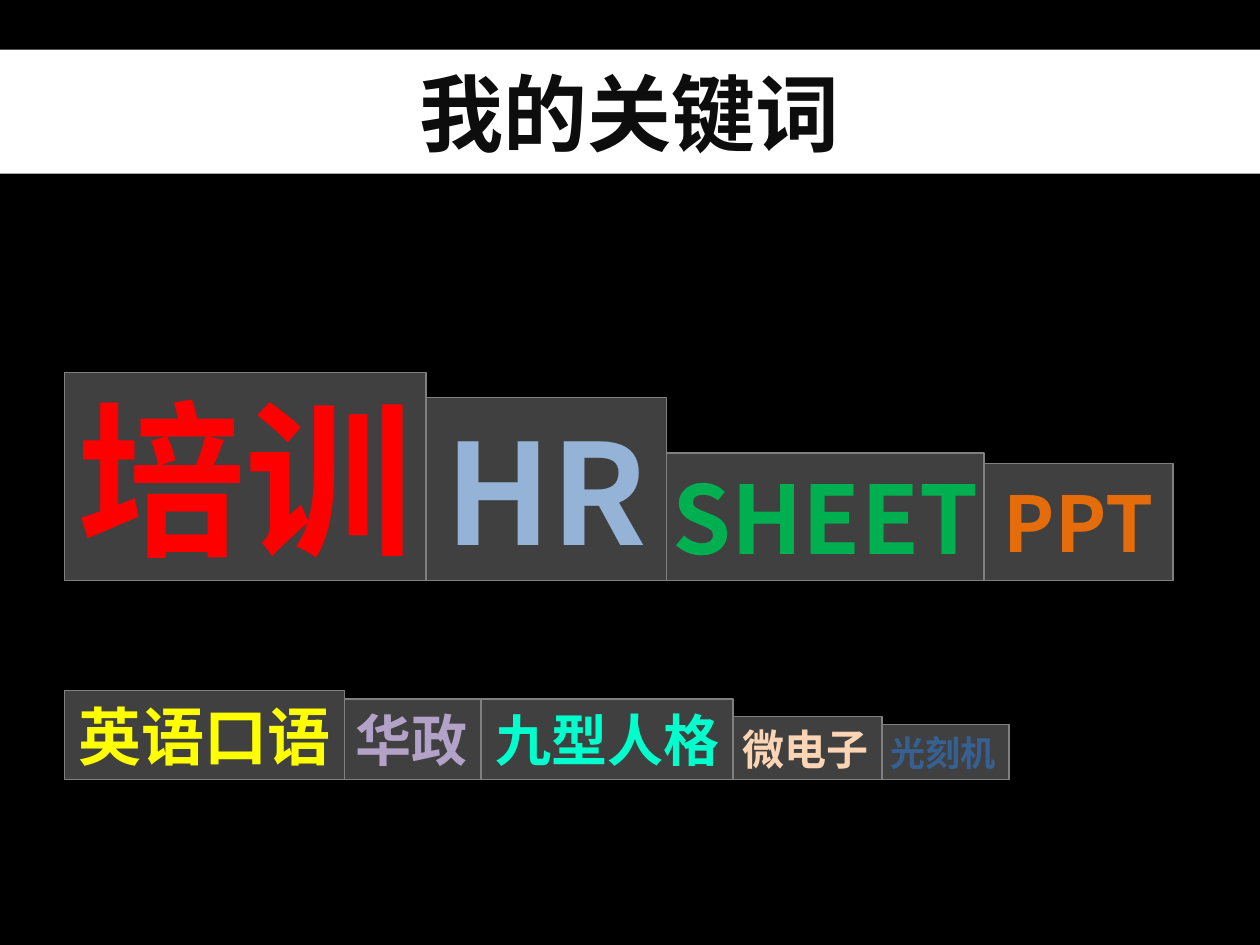
"""Build the keyword slide: a title band above two rows of word tiles."""
from dataclasses import dataclass

from lxml.etree import SubElement
from pptx import Presentation
from pptx.dml.color import RGBColor
from pptx.enum.shapes import MSO_SHAPE
from pptx.enum.text import MSO_ANCHOR, MSO_AUTO_SIZE, PP_ALIGN
from pptx.oxml.ns import qn
from pptx.shapes.autoshape import Shape
from pptx.slide import Slide
from pptx.util import Cm, Pt

FONT = "Noto Sans CJK SC"
COLORS = {
    "background": "000000",
    "band": "FFFFFF",
    "title": "0D0D0D",
    "tile": "404040",
    "border": "808080",
    "red": "FF0000",
    "light blue": "95B3D7",
    "green": "00B050",
    "orange": "E46C0A",
    "yellow": "FFFF00",
    "purple": "B3A2C7",
    "aqua": "00FFCC",
    "peach": "FCD5B5",
    "blue": "376092",
}
FRAME_FORMAT = {
    "auto_size": MSO_AUTO_SIZE.NONE,
    "vertical_anchor": MSO_ANCHOR.MIDDLE,
    "margin_left": Cm(0.25),
    "margin_right": Cm(0.25),
    "margin_top": Cm(0.13),
    "margin_bottom": Cm(0.13),
}


@dataclass(frozen=True)
class Keyword:
    text: str
    left: float
    width: float
    height: float
    size: int
    color: str


@dataclass(frozen=True)
class KeywordRow:
    bottom: float
    keywords: tuple[Keyword, ...]


ROWS = (
    KeywordRow(11.7, (
        Keyword("培训", 1.3, 7.29, 4.19, 96, "red"),
        Keyword("HR", 8.59, 4.85, 3.68, 80, "light blue"),
        Keyword("SHEET", 13.44, 6.4, 2.57, 54, "green"),
        Keyword("PPT", 19.84, 3.81, 2.36, 44, "orange"),
    )),
    KeywordRow(15.72, (
        Keyword("英语口语", 1.3, 5.64, 1.8, 36, "yellow"),
        Keyword("华政", 6.91, 2.79, 1.63, 32, "purple"),
        Keyword("九型人格", 9.7, 5.08, 1.63, 32, "aqua"),
        Keyword("微电子", 14.71, 3.07, 1.27, 24, "peach"),
        Keyword("光刻机", 17.7, 2.64, 1.12, 20, "blue"),
    )),
)


def color_of(name: str) -> RGBColor:
    return RGBColor.from_string(COLORS[name])


def fill_shape(shape: Shape, color: str) -> None:
    shape.fill.solid()
    shape.fill.fore_color.rgb = color_of(color)


def write_text(shape: Shape, text: str, size: int, color: str, wrap: bool) -> None:
    frame = shape.text_frame
    for attribute, value in FRAME_FORMAT.items():
        setattr(frame, attribute, value)
    frame.word_wrap = wrap
    paragraph = frame.paragraphs[0]
    paragraph.alignment = PP_ALIGN.CENTER
    run = paragraph.add_run()
    run.text = text
    for attribute, value in {"name": FONT, "size": Pt(size), "bold": True}.items():
        setattr(run.font, attribute, value)
    run.font.color.rgb = color_of(color)
    SubElement(run._r.get_or_add_rPr(), qn("a:ea"), typeface=FONT)


def draw_title(slide: Slide, text: str) -> None:
    title = slide.shapes.title
    position = {"left": Cm(0), "top": Cm(1), "width": Cm(25.4), "height": Cm(2.5)}
    for attribute, value in position.items():
        setattr(title, attribute, value)
    fill_shape(title, "band")
    write_text(title, text, 48, "title", True)


def draw_keyword(slide: Slide, keyword: Keyword, bottom: float) -> None:
    tile = slide.shapes.add_shape(
        MSO_SHAPE.RECTANGLE, Cm(keyword.left), Cm(bottom - keyword.height),
        Cm(keyword.width), Cm(keyword.height),
    )
    tile.shadow.inherit = False
    fill_shape(tile, "tile")
    tile.line.color.rgb = color_of("border")
    tile.line.width = Pt(0.75)
    write_text(tile, keyword.text, keyword.size, keyword.color, False)


def main() -> None:
    presentation = Presentation()
    presentation.slide_width, presentation.slide_height = Cm(25.4), Cm(19.05)
    slide = presentation.slides.add_slide(presentation.slide_layouts[5])
    slide.background.fill.solid()
    slide.background.fill.fore_color.rgb = color_of("background")
    draw_title(slide, "我的关键词")
    for row in ROWS:
        for keyword in reversed(row.keywords):
            draw_keyword(slide, keyword, row.bottom)
    presentation.save("out.pptx")


if __name__ == "__main__":
    main()
